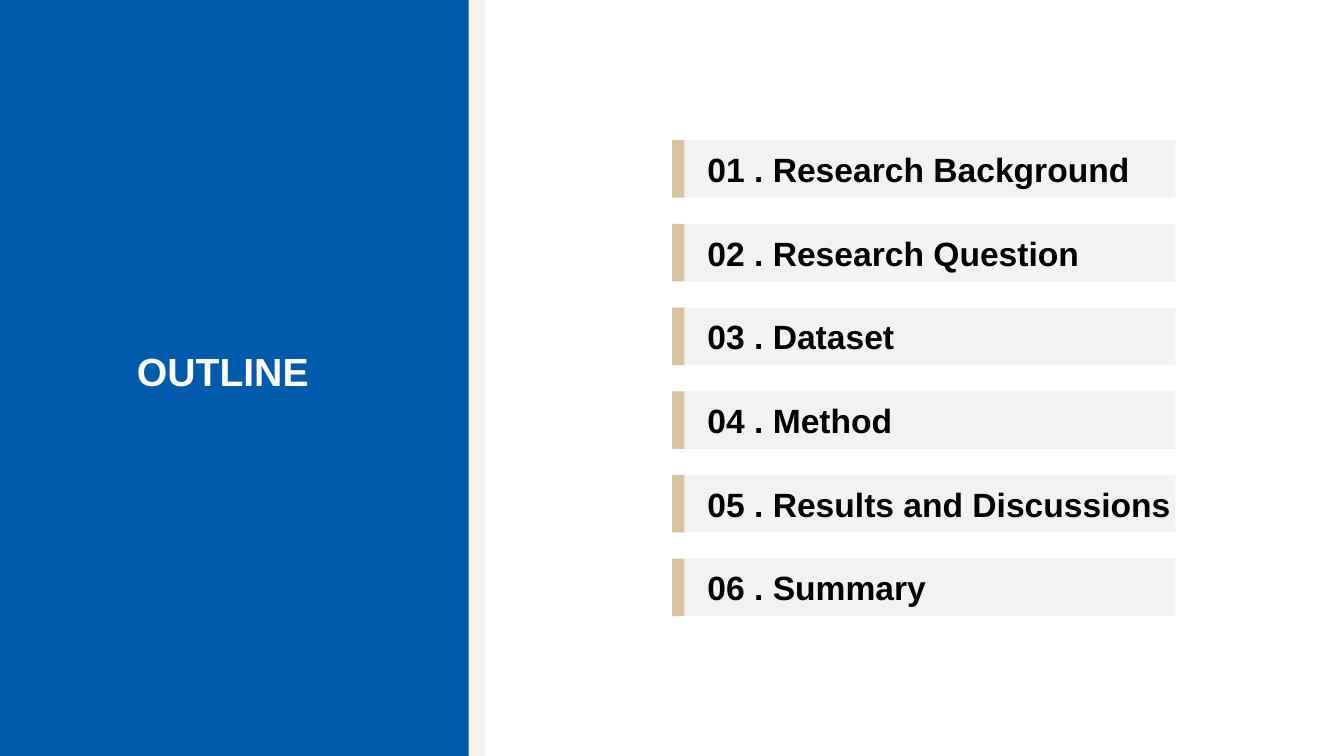
from dataclasses import dataclass

from pptx import Presentation
from pptx.dml.color import RGBColor
from pptx.enum.shapes import MSO_SHAPE
from pptx.enum.text import MSO_ANCHOR, MSO_AUTO_SIZE, PP_ALIGN
from pptx.shapes.autoshape import Shape
from pptx.shapes.shapetree import GroupShapes, SlideShapes
from pptx.text.text import TextFrame
from pptx.util import Cm, Pt

RECTANGLE = MSO_SHAPE.RECTANGLE
TOP, MIDDLE = MSO_ANCHOR.TOP, MSO_ANCHOR.MIDDLE
LEFT, JUSTIFY = PP_ALIGN.LEFT, PP_ALIGN.JUSTIFY
FIT_SHAPE = MSO_AUTO_SIZE.SHAPE_TO_FIT_TEXT
TITLE_ONLY_LAYOUT = 5


@dataclass(frozen=True)
class Theme:
    font: str = "Arial"
    title_size: int = 28
    topic_size: int = 24
    blue: str = "005BAC"
    cream: str = "F7F3EC"
    sand: str = "D7C39F"
    grey: str = "F2F2F2"
    black: str = "000000"
    white: str = "FFFFFF"


@dataclass(frozen=True)
class Box:
    """A rectangle measured in centimetres."""
    left: float
    top: float
    width: float
    height: float


THEME = Theme()
SLIDE_WIDTH, SLIDE_HEIGHT = 33.87, 19.05
PANEL_WIDTH, PANEL_OFFSET = 11.81, 0.41
TITLE_BOX = Box(3.45, 8.76, 4.9, 1.19)
TOPIC_LEFT, TOPIC_TOP, TOPIC_PITCH = 16.94, 3.53, 2.11
MARKER_WIDTH, BAR_WIDTH, BAR_HEIGHT = 0.31, 12.37, 1.45
BAR_INDENT = 0.58
TOPICS = (
    "Research Background",
    "Research Question",
    "Dataset",
    "Method",
    "Results and Discussions",
    "Summary",
)


def add_block(shapes: SlideShapes | GroupShapes, box: Box, color: str) -> Shape:
    shape = shapes.add_shape(
        RECTANGLE, Cm(box.left), Cm(box.top), Cm(box.width), Cm(box.height)
    )
    shape.shadow.inherit = False
    shape.fill.solid()
    shape.fill.fore_color.rgb = RGBColor.from_string(color)
    shape.line.fill.background()
    return shape


def write_text(
    frame: TextFrame, text: str, size: int, color: str,
    alignment: PP_ALIGN, anchor: MSO_ANCHOR, indent: float = 0,
) -> None:
    frame_format = {
        "margin_left": Cm(indent), "margin_top": 0, "margin_right": 0,
        "margin_bottom": 0, "vertical_anchor": anchor, "word_wrap": True,
    }
    for name, value in frame_format.items():
        setattr(frame, name, value)
    paragraph = frame.paragraphs[0]
    paragraph.alignment = alignment
    run = paragraph.add_run()
    run.text = text
    for name, value in {"name": THEME.font, "size": Pt(size), "bold": True}.items():
        setattr(run.font, name, value)
    run.font.color.rgb = RGBColor.from_string(color)


def add_topic(shapes: GroupShapes, index: int, topic: str) -> None:
    top = TOPIC_TOP + index * TOPIC_PITCH
    bar = add_block(
        shapes, Box(TOPIC_LEFT + MARKER_WIDTH, top, BAR_WIDTH, BAR_HEIGHT), THEME.grey
    )
    write_text(
        bar.text_frame, f"{index + 1:02d} . {topic}", THEME.topic_size,
        THEME.black, LEFT, MIDDLE, BAR_INDENT,
    )
    add_block(shapes, Box(TOPIC_LEFT, top, MARKER_WIDTH, BAR_HEIGHT), THEME.sand)


def main() -> None:
    presentation = Presentation()
    presentation.slide_width = Cm(SLIDE_WIDTH)
    presentation.slide_height = Cm(SLIDE_HEIGHT)
    slide = presentation.slides.add_slide(presentation.slide_layouts[TITLE_ONLY_LAYOUT])

    # Numbered topics
    topic_group = slide.shapes.add_group_shape()
    for index, topic in enumerate(TOPICS):
        add_topic(topic_group.shapes, index, topic)

    # Left panel with its cream edge
    for left, color in ((PANEL_OFFSET, THEME.cream), (0, THEME.blue)):
        add_block(slide.shapes, Box(left, 0, PANEL_WIDTH, SLIDE_HEIGHT), color)

    # Title, brought in front of the panel
    title = slide.shapes.title
    for name in ("left", "top", "width", "height"):
        setattr(title, name, Cm(getattr(TITLE_BOX, name)))
    write_text(
        title.text_frame, "OUTLINE", THEME.title_size, THEME.white, JUSTIFY, TOP
    )
    title.text_frame.auto_size = FIT_SHAPE
    slide.shapes.element.append(title.element)

    presentation.save("out.pptx")


if __name__ == "__main__":
    main()
